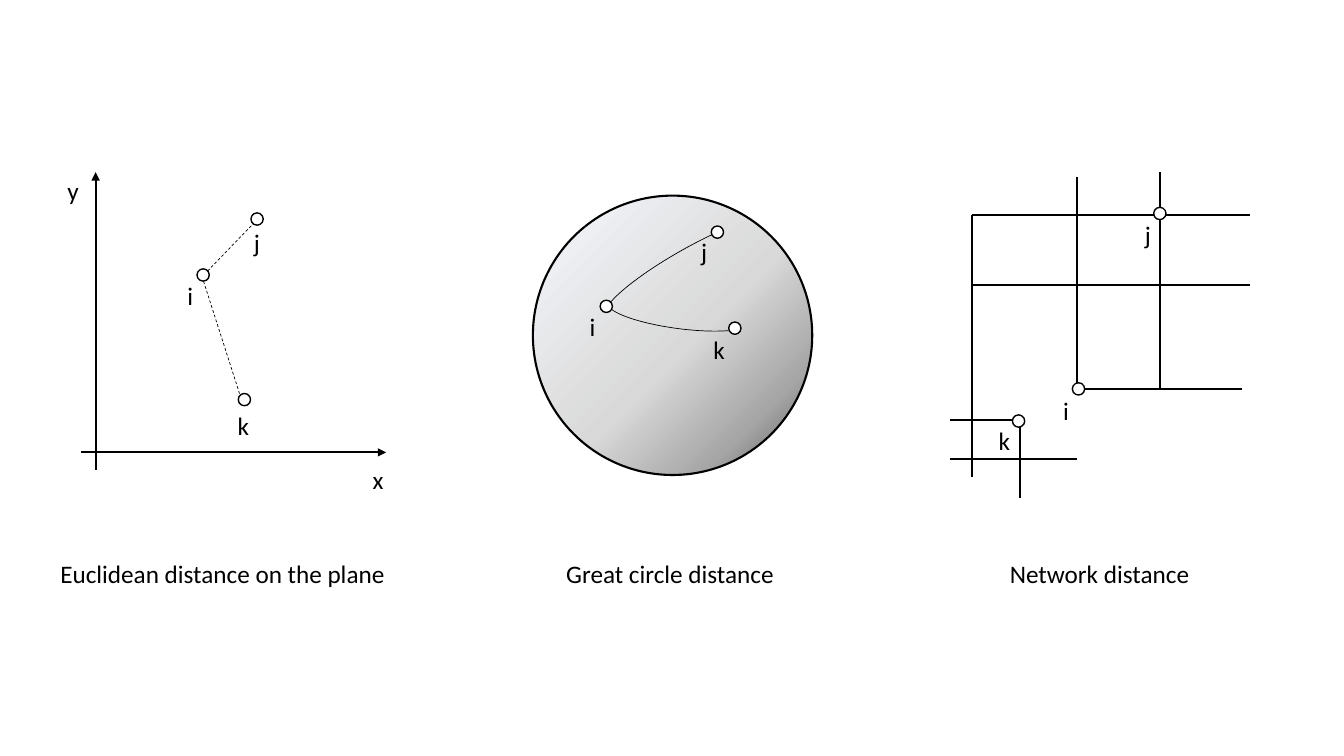
from dataclasses import dataclass

from pptx import Presentation
from pptx.dml.color import RGBColor
from pptx.enum.dml import MSO_LINE
from pptx.enum.shapes import MSO_CONNECTOR, MSO_SHAPE
from pptx.enum.text import MSO_AUTO_SIZE
from pptx.oxml import parse_xml
from pptx.oxml.ns import nsdecls, qn
from pptx.oxml.xmlchemy import OxmlElement
from pptx.util import Cm, Pt

BLACK = RGBColor(0x00, 0x00, 0x00)
WHITE = RGBColor(0xFF, 0xFF, 0xFF)
SPHERE_STOPS = (
    (0, RGBColor(0xF6, 0xF8, 0xFC)),
    (54, RGBColor(0xD9, 0xD9, 0xD9)),
    (80, RGBColor(0xA6, 0xA6, 0xA6)),
    (100, RGBColor(0x59, 0x59, 0x59)),
)
FONT = "Calibri"
TEXT_SIZE = Pt(18)
HEAVY, MEDIUM, THIN = Pt(1.5), Pt(1), Pt(0.5)
NODE_SIZE = 0.31
TEXT_HEIGHT = 1.03
LABEL_WIDTHS = {"i": 0.66, "j": 0.66, "k": 0.81, "x": 0.79, "y": 0.81}


# All positions and sizes below are centimetres.
@dataclass(frozen=True)
class Segment:
    """A straight line, optionally dashed or with an arrowhead at its start."""
    x1: float
    y1: float
    x2: float
    y2: float
    dashed: bool = False
    arrow: bool = False


@dataclass(frozen=True)
class Node:
    """A small circle, given by its centre."""
    x: float
    y: float


@dataclass(frozen=True)
class Label:
    """A text, given by the top left corner of its box."""
    text: str
    left: float
    top: float


@dataclass(frozen=True)
class Curve:
    """A turned arc with its start and end adjustments."""
    left: float
    top: float
    width: float
    height: float
    rotation: float
    start: float
    end: float


@dataclass(frozen=True)
class Caption:
    """A line of text below a diagram."""
    text: str
    left: float
    width: float


PLANE = (
    Segment(5.23, 6.83, 6.38, 5.64, dashed=True),
    Segment(5.13, 7.09, 6.05, 9.96, dashed=True),
    Segment(2.41, 4.34, 2.41, 11.84, arrow=True),
    Segment(9.73, 11.4, 2.03, 11.4, arrow=True),
    Node(5.12, 6.93), Node(6.48, 5.52), Node(6.16, 10.07),
    Label("x", 9.14, 11.58), Label("y", 1.45, 4.29),
    Label("i", 4.47, 6.93), Label("j", 6.15, 5.61), Label("k", 5.74, 10.21),
)
GREAT_CIRCLE = (
    Node(15.28, 7.72), Node(18.08, 5.85), Node(18.52, 8.27),
    Curve(14.94, 6.3, 4.75, 0.89, 330.1, 111.4, 202.13),
    Curve(15.29, 7.47, 3.66, 0.81, 187.6, 115.56, 212.98),
    Label("i", 14.61, 7.72), Label("j", 17.42, 5.84), Label("k", 17.73, 8.31),
)
NETWORK = (
    Segment(24.49, 5.41, 24.49, 12.01),
    Segment(23.95, 10.59, 25.73, 10.59),
    Segment(24.49, 7.19, 31.5, 7.19),
    Segment(27.15, 4.45, 27.15, 9.83),
    Segment(29.24, 4.34, 29.24, 9.83),
    Segment(27.2, 9.8, 31.29, 9.8),
    Segment(23.95, 11.56, 27.15, 11.56),
    Segment(25.7, 10.57, 25.7, 12.55),
    Segment(24.49, 5.41, 31.5, 5.41),
    Node(27.18, 9.8), Node(25.67, 10.61), Node(29.23, 5.38),
    Label("i", 26.54, 9.83), Label("j", 28.6, 5.41), Label("k", 24.92, 10.59),
)
CAPTIONS = (
    Caption("Euclidean distance on the plane", 1.27, 8.79),
    Caption("Great circle distance", 14.02, 5.82),
    Caption("Network distance", 25.2, 5.08),
)
CAPTION_TOP = 13.94


def set_line(line, width: int) -> None:
    """Give a line or outline the black stroke of the given width."""
    line.color.rgb = BLACK
    line.width = width


def add_segment(shapes, segment: Segment) -> None:
    """Draw a straight line."""
    connector = shapes.add_connector(
        MSO_CONNECTOR.STRAIGHT, Cm(segment.x1), Cm(segment.y1),
        Cm(segment.x2), Cm(segment.y2))
    set_line(connector.line, THIN if segment.dashed else HEAVY)
    properties = connector.element.spPr
    if segment.dashed:
        connector.line.dash_style = MSO_LINE.DASH
    if segment.arrow:
        arrowhead = OxmlElement("a:headEnd")
        arrowhead.set("type", "triangle")
        properties.find(qn("a:ln")).append(arrowhead)
    properties.append(OxmlElement("a:effectLst"))


def add_circle(shapes, left: float, top: float, size: float, width: int):
    """Draw a white circle with a black outline and return it."""
    circle = shapes.add_shape(
        MSO_SHAPE.OVAL, Cm(left), Cm(top), Cm(size), Cm(size))
    circle.shadow.inherit = False
    circle.fill.solid()
    circle.fill.fore_color.rgb = WHITE
    set_line(circle.line, width)
    return circle


def add_node(shapes, node: Node) -> None:
    """Draw a node around its centre."""
    add_circle(shapes, node.x - NODE_SIZE / 2, node.y - NODE_SIZE / 2,
               NODE_SIZE, MEDIUM)


def add_curve(shapes, curve: Curve) -> None:
    """Draw a thin arc."""
    arc = shapes.add_shape(MSO_SHAPE.ARC, Cm(curve.left), Cm(curve.top),
                           Cm(curve.width), Cm(curve.height))
    arc.shadow.inherit = False
    arc.fill.background()
    set_line(arc.line, THIN)
    arc.adjustments[0] = curve.start
    arc.adjustments[1] = curve.end
    arc.rotation = curve.rotation


def add_text(shapes, text: str, left: float, top: float, width: float) -> None:
    """Write one line of text in a box that fits it."""
    box = shapes.add_textbox(Cm(left), Cm(top), Cm(width), Cm(TEXT_HEIGHT))
    frame = box.text_frame
    frame.word_wrap = False
    frame.auto_size = MSO_AUTO_SIZE.SHAPE_TO_FIT_TEXT
    run = frame.paragraphs[0].add_run()
    run.text = text
    run.font.name = FONT
    run.font.size = TEXT_SIZE
    run.font.color.rgb = BLACK


def add_label(shapes, label: Label) -> None:
    """Write a node or axis name."""
    add_text(shapes, label.text, label.left, label.top,
             LABEL_WIDTHS[label.text])


def add_sphere(shapes) -> None:
    """Draw the globe, shaded from its top left corner."""
    sphere = add_circle(shapes, 13.43, 4.93, 7.04, HEAVY)
    stops = "".join(
        f'<a:gs pos="{percent * 1000}"><a:srgbClr val="{color}"/></a:gs>'
        for percent, color in SPHERE_STOPS)
    gradient = parse_xml(
        f'<a:gradFill {nsdecls("a")} rotWithShape="1"><a:gsLst>{stops}</a:gsLst>'
        '<a:path path="circle"><a:fillToRect r="100000" b="100000"/></a:path>'
        '</a:gradFill>')
    properties = sphere.element.spPr
    properties.replace(properties.find(qn("a:solidFill")), gradient)


DRAWERS = {Segment: add_segment, Node: add_node,
           Curve: add_curve, Label: add_label}


def add_parts(shapes, parts: tuple) -> None:
    """Draw the parts of a diagram from back to front."""
    for part in parts:
        DRAWERS[type(part)](shapes, part)


presentation = Presentation()
presentation.slide_width = Cm(33.87)
presentation.slide_height = Cm(19.05)
slide = presentation.slides.add_slide(presentation.slide_layouts[6])

for diagram in (NETWORK, GREAT_CIRCLE, PLANE):
    group = slide.shapes.add_group_shape()
    if diagram is GREAT_CIRCLE:
        add_sphere(group.shapes)
    add_parts(group.shapes, diagram)
for caption in CAPTIONS:
    add_text(slide.shapes, caption.text, caption.left, CAPTION_TOP, caption.width)

presentation.save("out.pptx")
